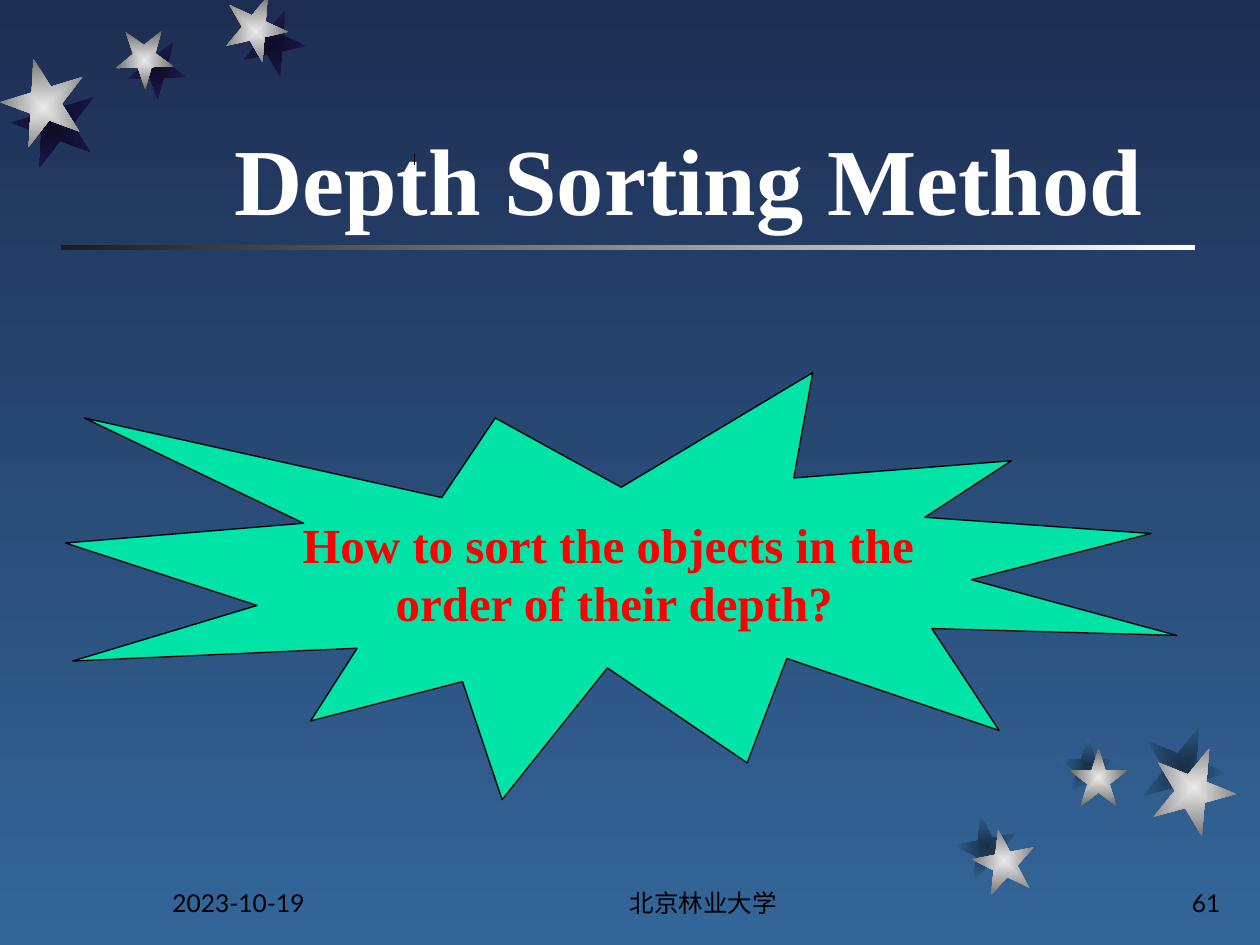
import pptx
import pptx.util
import pptx.oxml
import pptx.oxml.ns
import pptx.dml.color
import pptx.enum.shapes
import pptx.enum.text

Pt = pptx.util.Pt
RGB = pptx.dml.color.RGBColor
Kind = pptx.enum.shapes.MSO_SHAPE
Align = pptx.enum.text.PP_ALIGN
Anchor = pptx.enum.text.MSO_ANCHOR
qn = pptx.oxml.ns.qn

BLACK = RGB(0, 0, 0)
WHITE = RGB(255, 255, 255)
RED = RGB(255, 0, 0)
GREEN = RGB(0, 0xE4, 0xA8)
SKY = (RGB(0x1E, 0x2E, 0x53), RGB(0x33, 0x66, 0x99))
RULE = (RGB(0x1C, 0x1C, 0x1C), WHITE)
SILVER = (RGB(0xEA, 0xEA, 0xEA), RGB(0x6C, 0x6C, 0x6C))
NIGHT = (RGB(0x0E, 0x0C, 0x26), RGB(0x1E, 0x1A, 0x53))
DUSK = (RGB(0x18, 0x2F, 0x47), RGB(0x33, 0x66, 0x99))

STARS = [
    (128, 0, 36, 167.3, 10, 8, NIGHT),
    (66, 18, 33, 178.3, 7, 6, NIGHT),
    (0.7, 37.4, 48, 200.3, 6.2, 11.7, NIGHT),
    (555.8, 473.8, 36, 349, -10, -8, DUSK),
    (611.3, 427.7, 33, 0, -6, -6.5, DUSK),
    (658, 426, 48, 22, -5.8, -12, DUSK),
]
SPACE = 'xmlns:a="http://schemas.openxmlformats.org/drawingml/2006/main"'
CENTRE = (
    f'<a:path {SPACE} path="rect">'
    '<a:fillToRect l="50000" t="50000" r="50000" b="50000"/></a:path>'
)
PLAIN = f"<a:effectLst {SPACE}/>"


def blend(fill, tones, angle=0):
    fill.gradient()
    fill.gradient_angle = angle
    for stop, tone in zip(fill.gradient_stops, tones):
        stop.color.rgb = tone


def add_shape(slide, kind, x, y, w, h):
    shape = slide.shapes.add_shape(kind, Pt(x), Pt(y), Pt(w), Pt(h))
    shape.shadow.inherit = False
    shape.line.fill.background()
    return shape


def add_star(slide, x, y, size, turn, tones):
    star = add_shape(slide, Kind.STAR_5_POINT, x, y, size, size)
    star.rotation = turn
    blend(star.fill, tones)
    line = star._element.spPr.find(".//" + qn("a:lin"))
    line.getparent().replace(line, pptx.oxml.parse_xml(CENTRE))


def set_text(shape, text, size, font, tone, align, anchor, bold=False, wrap=True):
    frame = shape.text_frame
    frame.text = text
    frame.word_wrap = wrap
    frame.vertical_anchor = anchor
    for para in frame.paragraphs:
        para.alignment = align
        for run in para.runs:
            run.font.size = Pt(size)
            run.font.name = font
            run.font.bold = bold
            run.font.color.rgb = tone


def add_label(slide, x, y, w, h, text, size, font, tone, align, bold=False):
    box = slide.shapes.add_textbox(Pt(x), Pt(y), Pt(w), Pt(h))
    set_text(box, text, size, font, tone, align, Anchor.BOTTOM, bold)


def add_tick(slide, x, top, end):
    tick = slide.shapes.add_connector(
        pptx.enum.shapes.MSO_CONNECTOR.STRAIGHT, Pt(x), Pt(top), Pt(x), Pt(end))
    tick.line.color.rgb = BLACK
    tick.line.width = Pt(1)
    tick._element.spPr.append(pptx.oxml.parse_xml(PLAIN))


def add_burst(slide, text):
    burst = add_shape(slide, Kind.EXPLOSION1, 37.5, 213, 635, 244)
    burst.fill.solid()
    burst.fill.fore_color.rgb = GREEN
    burst.line.color.rgb = BLACK
    burst.line.width = Pt(0.75)
    set_text(burst, text, 28, "Times New Roman", RED, Align.CENTER,
             Anchor.MIDDLE, bold=True, wrap=False)


def main():
    deck = pptx.Presentation()
    deck.slide_width, deck.slide_height = Pt(720), Pt(540)
    slide = deck.slides.add_slide(deck.slide_layouts[6])
    blend(slide.background.fill, SKY, 270)

    rule = add_shape(slide, Kind.RECTANGLE, 35, 140.2, 648, 2.5)
    blend(rule.fill, RULE)

    for x, y, size, turn, dx, dy, shade in STARS:
        add_star(slide, x + dx, y + dy, size, turn, shade)
        add_star(slide, x, y, size, turn, SILVER)

    for x, w, text, align in [
        (91.5, 150, "2023-10-19", Align.LEFT),
        (288, 228, "北京林业大学", Align.CENTER),
        (554.5, 150, "61", Align.RIGHT),
    ]:
        add_label(slide, x, 492, w, 36, text, 14, "Lato", BLACK, align)

    add_label(slide, 126.7, 22.3, 573, 115.2, "Depth Sorting Method", 54,
              "Times New Roman", WHITE, Align.LEFT, bold=True)
    add_tick(slide, 236.9, 87.8, 94.3)
    add_burst(slide, "How to sort the objects in the \norder of their depth?")
    deck.save("out.pptx")


if __name__ == "__main__":
    main()
